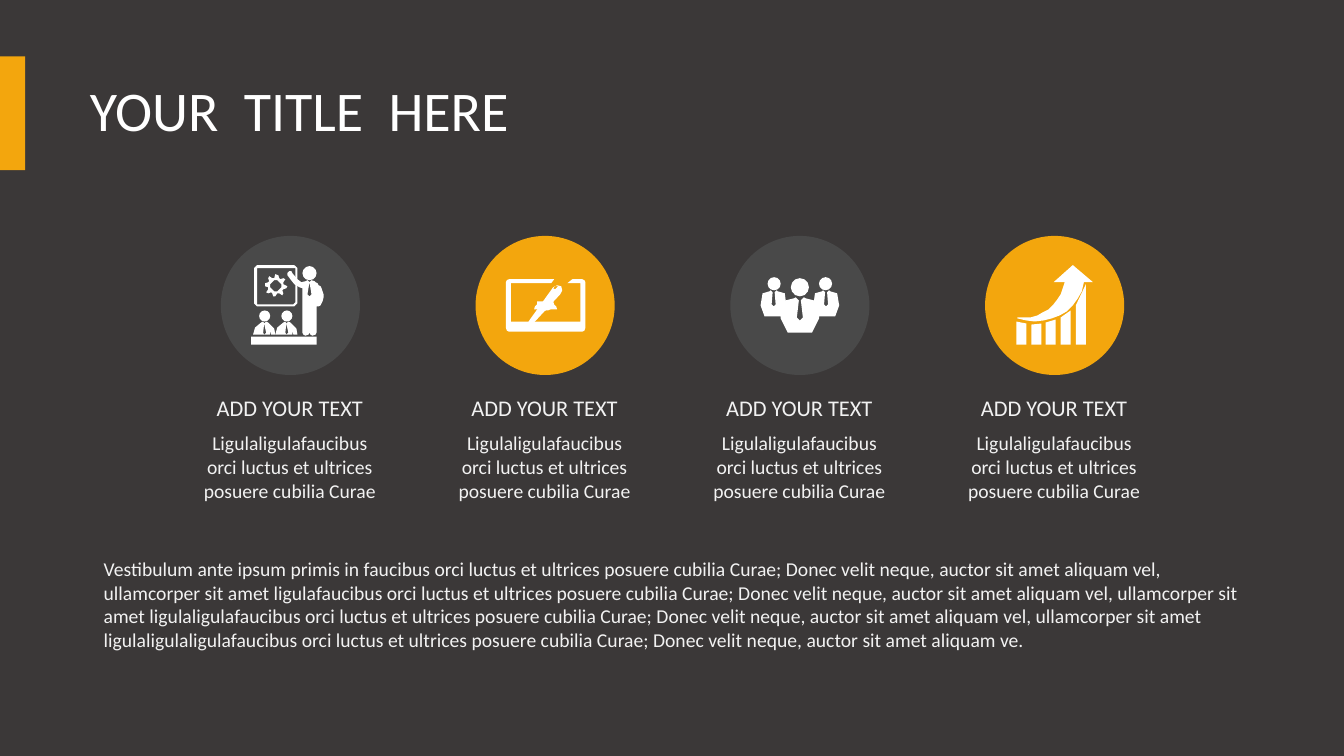
from dataclasses import dataclass
from math import cos, pi, sin

from pptx import Presentation
from pptx.dml.color import RGBColor
from pptx.enum.shapes import MSO_SHAPE
from pptx.enum.text import MSO_ANCHOR, MSO_AUTO_SIZE, PP_ALIGN
from pptx.util import Inches, Pt


@dataclass(frozen=True)
class Theme:
    font: str = "Calibri"
    background: RGBColor = RGBColor(0x3B, 0x38, 0x38)
    accent: RGBColor = RGBColor(0xF3, 0xA6, 0x0D)
    muted: RGBColor = RGBColor(0x49, 0x49, 0x49)
    white: RGBColor = RGBColor(0xFF, 0xFF, 0xFF)
    text: RGBColor = RGBColor(0xF2, 0xF2, 0xF2)
    title_size: Pt = Pt(40)
    label_size: Pt = Pt(16)
    body_size: Pt = Pt(14)


THEME = Theme()
DISC_TOP, DISC_SIZE = 2.34, 1.38
FIRST_DISC, LAST_DISC = 2.19, 9.77
ICON_UNIT = Inches(0.01)

LABEL = "ADD YOUR TEXT"
DETAIL = "Ligulaligulafaucibus orci luctus et ultrices posuere cubilia Curae"
SUMMARY = (
    "Vestibulum ante ipsum primis in faucibus orci luctus et ultrices posuere cubilia Curae; "
    "Donec velit neque, auctor sit amet aliquam vel, ullamcorper sit amet ligulafaucibus orci "
    "luctus et ultrices posuere cubilia Curae; Donec velit neque, auctor sit amet aliquam vel, "
    "ullamcorper sit amet ligulaligulafaucibus orci luctus et ultrices posuere cubilia Curae; "
    "Donec velit neque, auctor sit amet aliquam vel, ullamcorper sit amet "
    "ligulaligulaligulafaucibus orci luctus et ultrices posuere cubilia Curae; Donec velit "
    "neque, auctor sit amet aliquam ve."
)


def set_format(target, values):
    for name, value in values.items():
        setattr(target, name, value)


def paint(shape, color):
    shape.shadow.inherit = False
    shape.fill.solid()
    shape.fill.fore_color.rgb = color
    shape.line.fill.background()


def add_solid(shapes, kind, left, top, width, height, color):
    shape = shapes.add_shape(kind, Inches(left), Inches(top), Inches(width), Inches(height))
    paint(shape, color)
    return shape


def write(box, text, size, color, paragraph_format, frame_format):
    frame = box.text_frame
    set_format(frame, {"auto_size": MSO_AUTO_SIZE.NONE, "word_wrap": True, **frame_format})
    para = frame.paragraphs[0]
    set_format(para, paragraph_format)
    span = para.add_run()
    span.text = text
    set_format(span.font, {"name": THEME.font, "size": size})
    span.font.color.rgb = color


def add_text(page, left, top, width, height, text, size, align=PP_ALIGN.CENTER, wrap=True):
    box = page.shapes.add_textbox(Inches(left), Inches(top), Inches(width), Inches(height))
    write(box, text, size, THEME.text, {"alignment": align}, {"word_wrap": wrap})


def add_title(page, text):
    title = page.shapes.title
    set_format(title, {"left": Inches(0.79), "top": Inches(0.4),
                       "width": Inches(11.63), "height": Inches(1.45)})
    write(title, text, THEME.title_size, THEME.white,
          {"alignment": PP_ALIGN.LEFT, "line_spacing": 0.9},
          {"vertical_anchor": MSO_ANCHOR.MIDDLE})


class Icon:
    """A white pictogram, drawn in hundredths of an inch from its disc's corner."""

    def __init__(self, page, left):
        self.left = left
        self.shapes = page.shapes.add_group_shape().shapes

    def block(self, kind, left, top, width, height):
        add_solid(self.shapes, kind, self.left + left / 100, DISC_TOP + top / 100,
                  width / 100, height / 100, THEME.white)

    def dot(self, left, top, size):
        self.block(MSO_SHAPE.OVAL, left, top, size, size)

    def outline(self, points, hole=()):
        builder = self.shapes.build_freeform(*points[0], scale=ICON_UNIT)
        builder.add_line_segments(points[1:], close=True)
        if hole:
            builder.move_to(*hole[0])
            builder.add_line_segments(hole[1:], close=True)
        paint(builder.convert_to_shape(Inches(self.left), Inches(DISC_TOP)), THEME.white)


def curve(start, pull, push, end, steps=10):
    """Points along a cubic Bezier curve."""
    points = []
    for step in range(steps + 1):
        t = step / steps
        weights = ((1 - t) ** 3, 3 * t * (1 - t) ** 2, 3 * t * t * (1 - t), t ** 3)
        points.append(tuple(sum(w * p[axis] for w, p in zip(weights, (start, pull, push, end)))
                            for axis in (0, 1)))
    return points


def ring(center_x, center_y, radii):
    """Points at equal angles around a centre, one for each radius."""
    turn = 2 * pi / len(radii)
    return [(center_x + radius * cos(index * turn), center_y + radius * sin(index * turn))
            for index, radius in enumerate(radii)]


def cut_corners(left, top, right, bottom, cut):
    return [(left + cut, top), (right - cut, top), (right, top + cut), (right, bottom - cut),
            (right - cut, bottom), (left + cut, bottom), (left, bottom - cut), (left, top + cut)]


def draw_training(icon):
    icon.outline(cut_corners(33, 29, 76, 70, 3), cut_corners(35.5, 31.5, 73.5, 67.5, 1))
    icon.outline(ring(54.5, 49.5, [11, 11, 8, 8] * 8), ring(54.5, 49.5, [5.5] * 24))
    icon.dot(81, 30, 14)
    person = [(93, 45), (90, 44), (88, 46), (86, 44), (84, 45), (80, 46), (76, 43), (71, 37),
              (70, 35), (68, 35), (66, 37), (66, 39), (69, 43), (73, 48), (78, 51), (81, 52),
              (81, 96), (82, 98), (84, 99), (87, 98), (88, 96), (88, 73), (88, 96), (89, 98),
              (91, 99), (94, 98), (95, 96), (95, 70), (97, 70)]
    person += curve((99, 69), (107, 54), (96, 48), (93, 45))
    icon.outline(person, [(88, 60), (86, 58), (88, 46), (90, 58)])
    icon.outline([(95, 63), (95, 56), (97, 59)])
    listener = [(37, 98), (37, 94), (37, 98), (43, 98), (42, 96), (43, 87), (45, 96), (43, 98),
                (49, 98), (49, 94), (50, 98), (54, 98), (53, 92), (47, 86), (45, 85), (43, 87),
                (42, 85), (40, 86), (34, 91), (32, 98)]
    for shift in (0, 22):
        icon.dot(38 + shift, 74, 11)
        icon.outline([(x + shift, y) for x, y in listener])
    icon.block(MSO_SHAPE.RECTANGLE, 30, 100, 65, 8)


def draw_laptop(icon):
    icon.outline([(106, 43), (96, 43), (91, 47), (104, 47), (104, 85), (35, 85), (35, 47),
                  (75, 47), (78, 43), (33, 43), (31, 44), (30, 46), (30, 91), (31, 94),
                  (33, 95), (106, 95), (108, 94), (109, 91), (109, 46), (108, 44)])
    icon.outline([(85, 50), (81, 49), (77, 51), (54, 83), (52, 86), (54, 87), (56, 88),
                  (58, 86), (84, 58), (86, 54)],
                 [(79, 53), (77, 52), (79, 50), (82, 50)])
    icon.outline([(80, 70), (78, 68), (77, 65), (61, 65), (61, 68), (59, 70), (58, 73),
                  (81, 73)])
    icon.outline(curve((61, 74), (65, 73), (66, 72), (67, 68))
                 + curve((67, 68), (70, 61), (82, 70), (74, 73))
                 + curve((74, 73), (67, 76), (57, 74), (61, 74)))


def draw_team(icon):
    for left, top, size in ((60, 42, 18), (37, 41, 13), (88, 41, 13)):
        icon.dot(left, top, size)
    right_half = [(69, 84), (72, 81), (70, 64), (73, 61), (75, 62), (83, 64), (84, 57),
                  (91, 55), (92, 54), (94, 56), (93, 68), (95, 70), (97, 68), (96, 56),
                  (98, 54), (99, 55), (106, 57), (108, 69), (104, 80), (88, 80), (88, 82),
                  (81, 96)]
    icon.outline(right_half + [(138 - x, y) for x, y in reversed(right_half)])


def draw_growth(icon):
    icon.outline([(107, 46), (87, 29), (68, 46)]
                 + curve((79, 46), (75, 68), (55, 84), (32, 81))
                 + curve((32, 82), (60, 92), (93, 76), (98, 46)))
    for index, (left_top, right_top) in enumerate(
            ((85, 87), (88, 87), (86, 83), (81, 74), (69, 48))):
        left = 31 + 14.75 * index
        icon.outline([(left, left_top), (left + 10, right_top), (left + 10, 108), (left, 108)])


def add_column(page, left, color, draw_icon):
    disc = add_solid(page.shapes, MSO_SHAPE.ROUNDED_RECTANGLE,
                     left, DISC_TOP, DISC_SIZE, DISC_SIZE, color)
    disc.adjustments[0] = 0.5
    draw_icon(Icon(page, left))
    add_text(page, left - 0.14, 3.86, 1.65, 0.37, LABEL, THEME.label_size, wrap=False)
    add_text(page, left - 0.31, 4.23, 1.99, 0.81, DETAIL, THEME.body_size)


def main():
    deck = Presentation()
    set_format(deck, {"slide_width": Inches(13.33), "slide_height": Inches(7.5)})
    page = deck.slides.add_slide(deck.slide_layouts[5])
    page.background.fill.solid()
    page.background.fill.fore_color.rgb = THEME.background
    add_solid(page.shapes, MSO_SHAPE.RECTANGLE, 0, 0.56, 0.25, 1.13, THEME.accent)
    add_title(page, "YOUR  TITLE  HERE")
    columns = ((THEME.muted, draw_training), (THEME.accent, draw_laptop),
               (THEME.muted, draw_team), (THEME.accent, draw_growth))
    pitch = (LAST_DISC - FIRST_DISC) / (len(columns) - 1)
    for index, (color, draw_icon) in enumerate(columns):
        add_column(page, FIRST_DISC + index * pitch, color, draw_icon)
    add_text(page, 0.93, 5.48, 11.48, 1.04, SUMMARY, THEME.body_size, PP_ALIGN.LEFT)
    deck.save("out.pptx")


if __name__ == "__main__":
    main()
